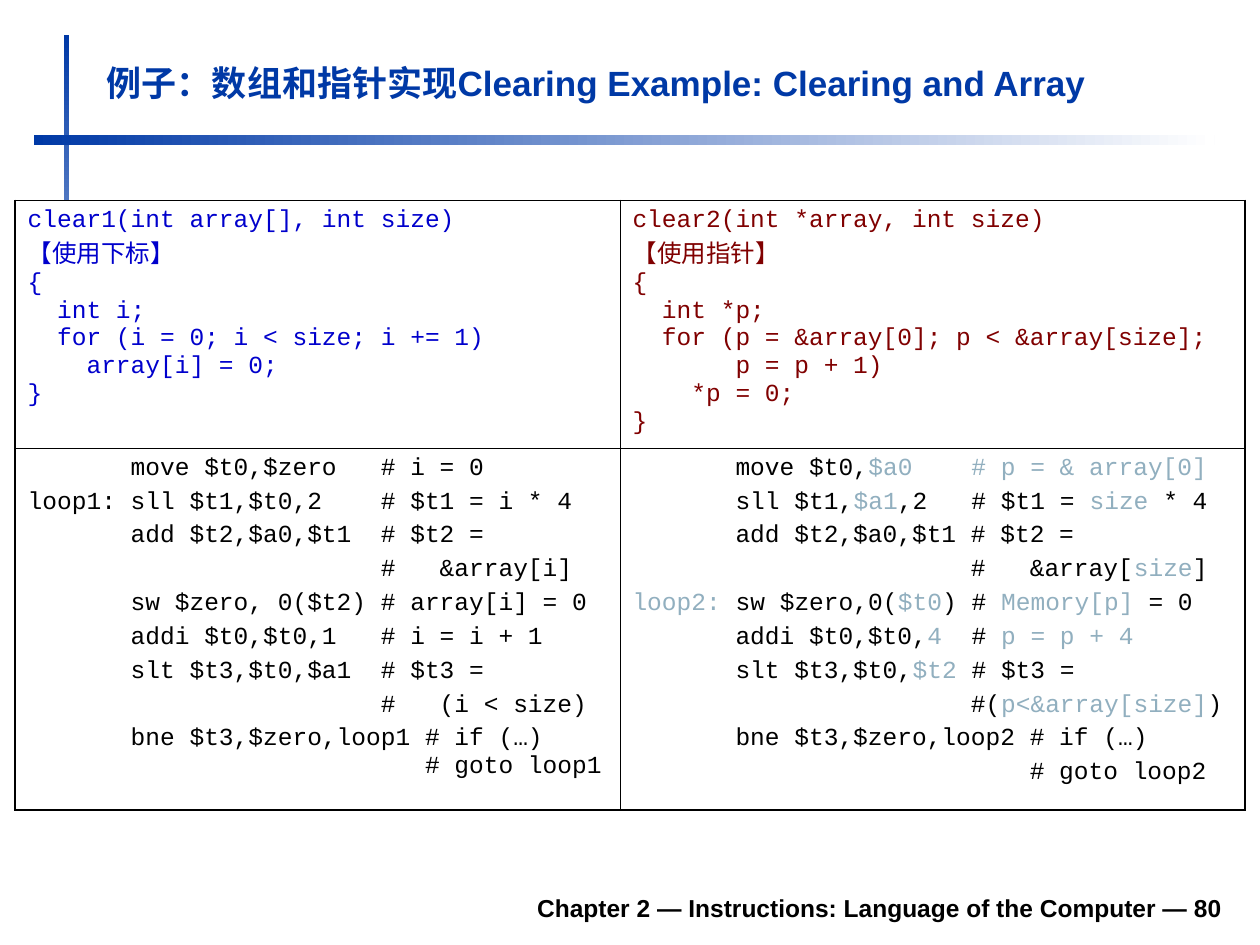
from lxml import etree
from pptx import Presentation
from pptx.dml.color import RGBColor
from pptx.enum.shapes import MSO_SHAPE
from pptx.enum.text import MSO_ANCHOR, PP_ALIGN
from pptx.oxml.ns import qn
from pptx.util import Inches, Pt

COLORS = {
    "title": "0039A6", "white": "FFFFFF", "black": "000000",
    "index": "0000CC", "pointer": "800000", "changed": "91AFBF",
}
OUTER, INNER = Pt(1.08), Pt(0.45)  # table rule widths

# Source code in C, one string per line
C_INDEX = [
    "clear1(int array[], int size)",
    "【使用下标】",
    "{",
    "  int i;",
    "  for (i = 0; i < size; i += 1)",
    "    array[i] = 0;",
    "}",
]
C_POINTER = [
    "clear2(int *array, int size)",
    "【使用指针】",
    "{",
    "  int *p;",
    "  for (p = &array[0]; p < &array[size];",
    "       p = p + 1)",
    "    *p = 0;",
    "}",
]
# Assembly; parts between ~ marks are highlighted
ASM_INDEX = [
    "       move $t0,$zero   # i = 0",
    "loop1: sll $t1,$t0,2    # $t1 = i * 4",
    "       add $t2,$a0,$t1  # $t2 =",
    "                        #   &array[i]",
    "       sw $zero, 0($t2) # array[i] = 0",
    "       addi $t0,$t0,1   # i = i + 1",
    "       slt $t3,$t0,$a1  # $t3 =",
    "                        #   (i < size)",
    "       bne $t3,$zero,loop1 # if (…)\n                           # goto loop1",
]
ASM_POINTER = [
    "       move $t0,~$a0    # p = & array[0]~",
    "       sll $t1,~$a1~,2   # $t1 = ~size~ * 4",
    "       add $t2,$a0,$t1 # $t2 =",
    "                       #   &array[~size~]",
    "~loop2:~ sw $zero,0(~$t0~) # ~Memory[p]~ = 0",
    "       addi $t0,$t0,~4~  # ~p = p + 4~",
    "       slt $t3,$t0,~$t2~ # $t3 =",
    "                       #(~p<&array[size]~)",
    "       bne $t3,$zero,loop2 # if (…)",
    "                           # goto loop2",
]


def rgb(name):
    return RGBColor.from_string(COLORS[name])


def set_font(font, name, size, color, bold=False):
    font.name, font.size, font.bold = name, Pt(size), bold
    font.color.rgb = rgb(color)


def add_bar(slide, box, angle):
    """Bar that fades from the title blue to white."""
    sp = slide.shapes.add_shape(MSO_SHAPE.RECTANGLE, *map(Inches, box))
    sp.shadow.inherit = False
    sp.line.fill.background()
    sp.fill.gradient()
    sp.fill.gradient_angle = angle
    for stop, color, pos in zip(sp.fill.gradient_stops, ("title", "white"), (0, 1)):
        stop.color.rgb = rgb(color)
        stop.position = pos


def add_label(slide, box, text, size, color, align):
    tf = slide.shapes.add_textbox(*map(Inches, box)).text_frame
    tf.word_wrap = True
    tf.vertical_anchor = MSO_ANCHOR.BOTTOM
    p = tf.paragraphs[0]
    p.text, p.alignment = text, align
    set_font(p.font, "Arial", size, color, bold=True)


def fill_code(cell, lines, color, space):
    tf = cell.text_frame
    for i, line in enumerate(lines):
        p = tf.add_paragraph() if i else tf.paragraphs[0]
        p.space_before = Pt(space if i else 0)
        set_font(p.font, "Courier New", 14, color)
        for j, part in enumerate(line.split("~")):
            for k, text in enumerate(part.split("\n")):
                if k:
                    p.add_line_break()
                if text:
                    r = p.add_run()
                    r.text = text
                    set_font(r.font, "Courier New", 14, "changed" if j % 2 else color)


def set_borders(cell, widths):
    tc_pr = cell._tc.get_or_add_tcPr()
    for side, width in widths.items():
        ln = etree.SubElement(tc_pr, qn(f"a:ln{side}"), w=str(int(width)))
        fill = etree.SubElement(ln, qn("a:solidFill"))
        etree.SubElement(fill, qn("a:srgbClr"), val=COLORS["black"])


def add_code_table(slide, box):
    """C code above, assembly below; array index left, pointer right."""
    table = slide.shapes.add_table(2, 2, *map(Inches, box)).table
    table.first_row = table.horz_banding = False
    for col, width in zip(table.columns, (4.8, 4.96)):
        col.width = Inches(width)
    for row, height in zip(table.rows, (1.97, 2.87)):
        row.height = Inches(height)
    content = [
        [(C_INDEX, "index", 0), (C_POINTER, "pointer", 0)],
        [(ASM_INDEX, "black", 3.5), (ASM_POINTER, "black", 3.5)],
    ]
    for i, row in enumerate(content):
        for j, (lines, color, space) in enumerate(row):
            cell = table.cell(i, j)
            set_borders(cell, {
                "L": INNER if j else OUTER, "R": OUTER if j else INNER,
                "T": INNER if i else OUTER, "B": OUTER if i else INNER,
            })
            cell.fill.solid()
            cell.fill.fore_color.rgb = rgb("white")
            fill_code(cell, lines, color, space)


def main():
    prs = Presentation()
    prs.slide_width, prs.slide_height = Inches(10), Inches(7.5)
    slide = prs.slides.add_slide(prs.slide_layouts[6])
    # Crossed bars
    add_bar(slide, (0.51, 0.28, 0.04, 4.17), 270)
    add_bar(slide, (0.27, 1.07, 9.37, 0.08), 0)
    # Footer and title
    add_label(slide, (1.85, 6.98, 7.95, 0.39),
              "Chapter 2 — Instructions: Language of the Computer — 80",
              14, "black", PP_ALIGN.RIGHT)
    add_label(slide, (0.75, 0.44, 9.03, 0.43),
              "例子：数组和指针实现Clearing Example: Clearing and Array",
              20, "title", PP_ALIGN.LEFT)
    # Code comparison
    add_code_table(slide, (0.12, 1.59, 9.76, 4.84))
    prs.save("out.pptx")


if __name__ == "__main__":
    main()
